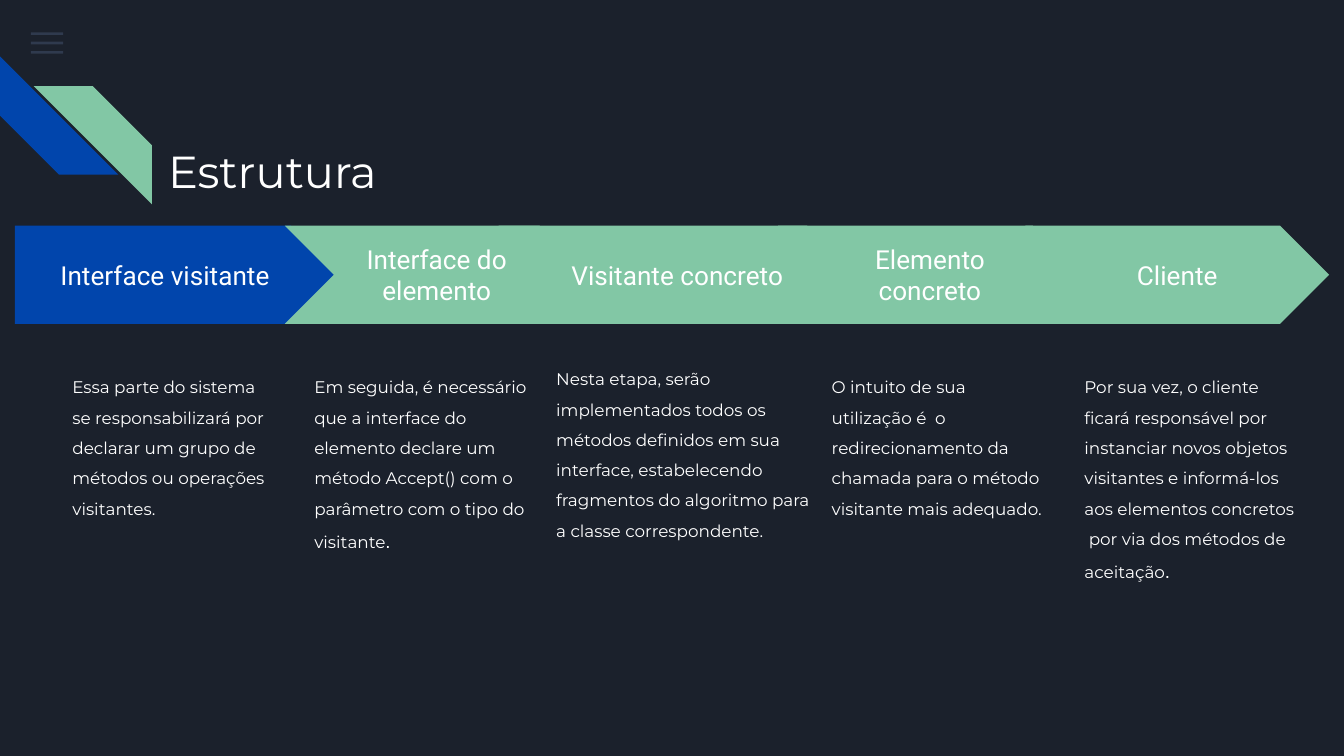
from dataclasses import dataclass

from lxml import etree
from pptx import Presentation
from pptx.dml.color import RGBColor
from pptx.enum.shapes import MSO_SHAPE
from pptx.enum.text import MSO_ANCHOR, MSO_AUTO_SIZE, PP_ALIGN
from pptx.oxml.ns import qn
from pptx.util import Inches, Pt

RECT = MSO_SHAPE.RECTANGLE
STRIPE = MSO_SHAPE.DIAGONAL_STRIPE
HOME_PLATE = MSO_SHAPE.PENTAGON
CHEVRON = MSO_SHAPE.CHEVRON
TOP, MIDDLE = MSO_ANCHOR.TOP, MSO_ANCHOR.MIDDLE
LEFT, CENTER = PP_ALIGN.LEFT, PP_ALIGN.CENTER
NO_AUTOFIT = MSO_AUTO_SIZE.NONE

WIDTH = Inches(10)
HEIGHT = WIDTH * 9 // 16
CELL = WIDTH / 100


@dataclass(frozen=True)
class Theme:
    background: str = "1B212C"
    blue: str = "0145AC"
    green: str = "82C7A5"
    menu: str = "55688B"
    text: str = "FFFFFF"
    body_font: str = "Montserrat"
    step_font: str = "Roboto"
    stop_font: str = "Arial"
    title_size: float = 24
    step_size: float = 14
    body_size: float = 9
    stop_size: float = 10


THEME = Theme()
STEP_TOP, STEP_HEIGHT = 16.8, 7.3

# fmt: off
STEPS = [
    ("Interface visitante", HOME_PLATE, THEME.blue, (1.1, 24.2), (4.4, 26.3, 16.9),
     "Essa parte do sistema se responsabilizará por declarar um grupo de métodos ou operações visitantes.", ""),
    ("Interface do elemento", CHEVRON, THEME.green, (21.2, 22.6), (22.4, 26.3, 17.8),
     "Em seguida, é necessário que a interface do elemento declare um método Accept() com o parâmetro com o tipo do visitante", "."),
    ("Visitante concreto", CHEVRON, THEME.green, (37.1, 26.6), (40.4, 25.7, 20.9),
     "Nesta etapa, serão implementados todos os métodos definidos em sua interface, estabelecendo fragmentos do algoritmo para a classe correspondente.", ""),
    ("Cliente", CHEVRON, THEME.green, (76.3, 22.6), (79.7, 26.3, 17.8),
     "Por sua vez, o cliente ficará responsável por instanciar novos objetos visitantes e informá-los aos elementos concretos  por via dos métodos de aceitação", "."),
    ("Elemento concreto", CHEVRON, THEME.green, (57.9, 22.6), (60.9, 26.3, 17.8),
     "O intuito de sua utilização é  o redirecionamento da chamada para o método visitante mais adequado.", ""),
]
# fmt: on


def grid(*cells):
    return [round(n * CELL) for n in cells]


def add_run(p, text, font, size):
    r = p.add_run()
    r.text = text
    r.font.name = font
    r.font.size = Pt(size)
    r.font.color.rgb = RGBColor.from_string(THEME.text)


def format_frame(tf, anchor, align):
    tf.word_wrap = True
    tf.auto_size = NO_AUTOFIT
    tf.vertical_anchor = anchor
    tf.margin_left = tf.margin_right = tf.margin_top = tf.margin_bottom = Inches(0.1)
    p = tf.paragraphs[0]
    p.alignment = align
    return p


def add_shape(shapes, kind, box, color, alpha=None):
    sp = shapes.add_shape(kind, *grid(*box))
    sp.shadow.inherit = False
    sp.fill.solid()
    sp.fill.fore_color.rgb = RGBColor.from_string(color)
    sp.line.fill.background()
    if alpha is not None:
        clr = sp.element.spPr.find(qn("a:solidFill"))[0]
        etree.SubElement(clr, qn("a:alpha")).set("val", str(alpha * 1000))
    return sp


def add_menu(shapes):
    for row in range(3):
        add_shape(shapes, RECT, (2.3, 2.4 + 0.7 * row, 2.4, 0.2), THEME.menu, 36)


def add_stripes(shapes):
    group = shapes.add_group_shape()
    for left, top, color, turn in ((0, 4.2, THEME.blue, 270), (2.5, 6.4, THEME.green, 90)):
        sp = add_shape(group.shapes, STRIPE, (left, top, 8.8, 8.8), color)
        sp.adjustments[0] = 0.5
        sp.rotation = turn


def set_title(title, text):
    title.left, title.top, title.width, title.height = grid(11.5, 9.7, 77, 5.6)
    p = format_frame(title.text_frame, TOP, LEFT)
    add_run(p, text, THEME.body_font, THEME.title_size)


def add_step(shapes, name, kind, color, span, place, body, stop):
    group = shapes.add_group_shape()
    left, width = span
    sp = add_shape(group.shapes, kind, (left, STEP_TOP, width, STEP_HEIGHT), color)
    sp.adjustments[0] = 0.5
    p = format_frame(sp.text_frame, MIDDLE, CENTER)
    add_run(p, name, THEME.step_font, THEME.step_size)

    left, top, width = place
    box = group.shapes.add_textbox(*grid(left, top, width, 25.7))
    p = format_frame(box.text_frame, TOP, LEFT)
    p.line_spacing = 1.5
    add_run(p, body, THEME.body_font, THEME.body_size)
    if stop:
        add_run(p, stop, THEME.stop_font, THEME.stop_size)


def main():
    prs = Presentation()
    prs.slide_width, prs.slide_height = WIDTH, HEIGHT
    s = prs.slides.add_slide(prs.slide_layouts[5])
    s.background.fill.solid()
    s.background.fill.fore_color.rgb = RGBColor.from_string(THEME.background)
    add_menu(s.shapes)
    add_stripes(s.shapes)
    set_title(s.shapes.title, "Estrutura")
    for step in STEPS:
        add_step(s.shapes, *step)
    prs.save("out.pptx")


if __name__ == "__main__":
    main()
